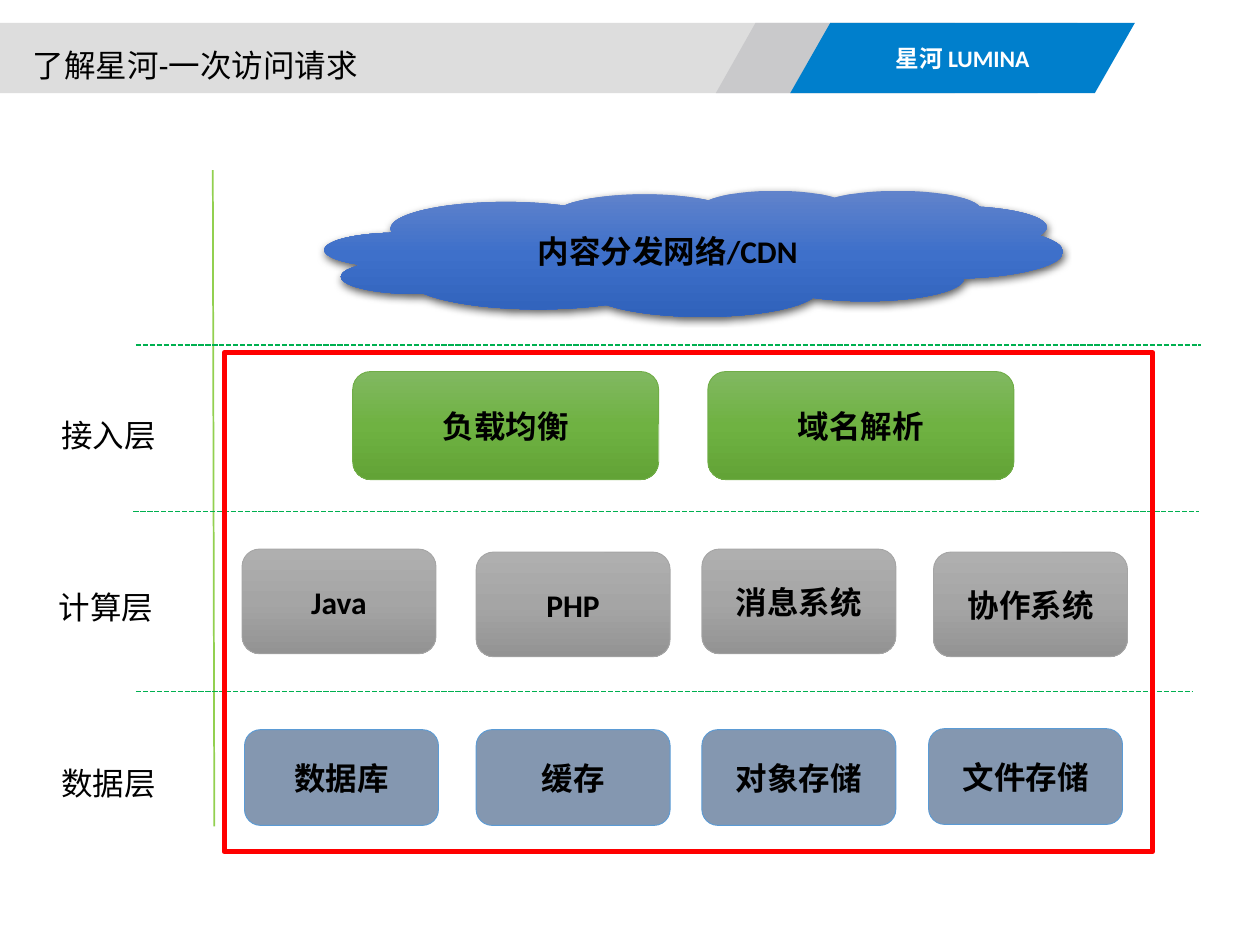
from copy import deepcopy
from lxml.etree import SubElement as Sub
from pptx import Presentation
from pptx.dml.color import RGBColor
from pptx.enum.dml import MSO_LINE as Dash
from pptx.enum.shapes import MSO_CONNECTOR as Conn, MSO_SHAPE as Kind
from pptx.enum.text import MSO_ANCHOR as Anchor, MSO_AUTO_SIZE as Fit, PP_ALIGN as Align
from pptx.oxml.ns import qn
from pptx.util import Cm, Pt


def tint(code):
    return RGBColor.from_string(code)


class Deck:
    """Holds the text style and the current slide, and draws each kind of element."""

    font = "Calibri"
    size = 18
    ink = "000000"

    def __init__(self, wide, high):
        self.prs = Presentation()
        self.prs.slide_width, self.prs.slide_height = Cm(wide), Cm(high)
        self.slide = self.prs.slides.add_slide(self.prs.slide_layouts[5])
        self.shapes = self.slide.shapes

    def fill_text(self, shape, runs, bold=False, mid=True, size=None, ink=None):
        frame = shape.text_frame
        frame.word_wrap = True
        frame.auto_size = Fit.NONE
        frame.vertical_anchor = Anchor.MIDDLE if mid else Anchor.TOP
        para = frame.paragraphs[0]
        para.alignment = Align.CENTER if mid else Align.LEFT
        for text in runs:
            run = para.add_run()
            run.text = text
            run.font.name = self.font
            run.font.size = Pt(size or self.size)
            run.font.bold = bold
            run.font.color.rgb = tint(ink or self.ink)

    def paint(self, shape, fill=None, edge=None, width=0.5):
        shape.shadow.inherit = False
        if fill is None:
            shape.fill.background()
        elif isinstance(fill, str):
            shape.fill.solid()
            shape.fill.fore_color.rgb = tint(fill)
        else:
            self.fade(shape, fill)
        if edge:
            shape.line.color.rgb = tint(edge)
            shape.line.width = Pt(width)
        else:
            shape.line.fill.background()

    def fade(self, shape, hues):
        shape.fill.gradient()
        shape.fill.gradient_angle = 270
        stops = next(shape.element.iter(qn("a:gsLst")))
        stops.insert(1, deepcopy(stops[0]))
        for stop, hue, place in zip(shape.fill.gradient_stops, hues, (0, 0.5, 1)):
            stop.color.rgb = tint(hue)
            stop.position = place

    def shade(self, shape, blur, drop, alpha):
        effects = shape.element.spPr.find(qn("a:effectLst"))
        outer = Sub(effects, qn("a:outerShdw"), blurRad=str(Pt(blur)), dist=str(Pt(drop)),
                    dir="5400000", algn="ctr", rotWithShape="0")
        hue = Sub(outer, qn("a:srgbClr"), val="000000")
        Sub(hue, qn("a:alpha"), val=str(alpha * 1000))

    def block(self, kind, box, fill=None, edge=None, width=0.5, runs=()):
        shape = self.shapes.add_shape(kind, *map(Cm, box))
        self.paint(shape, fill, edge, width)
        self.fill_text(shape, runs, bold=True)
        return shape

    def patch(self, points, fill, runs, size, ink):
        first, *rest = [(Cm(x), Cm(y)) for x, y in points]
        pen = self.shapes.build_freeform(*first)
        pen.add_line_segments(rest, close=True)
        shape = pen.convert_to_shape()
        self.paint(shape, fill)
        self.fill_text(shape, runs, bold=True, size=size, ink=ink)

    def line(self, ends, hue, dash=None):
        link = self.shapes.add_connector(Conn.STRAIGHT, *map(Cm, ends))
        link.line.color.rgb = tint(hue)
        link.line.width = Pt(1)
        if dash:
            link.line.dash_style = dash
        Sub(link.element.spPr, qn("a:effectLst"))

    def label(self, box, runs):
        self.fill_text(self.shapes.add_textbox(*map(Cm, box)), runs, mid=False)

    def title(self, box, runs):
        head = self.shapes.title
        head.left, head.top, head.width, head.height = map(Cm, box)
        self.fill_text(head, runs, mid=False)
        head.element.getparent().append(head.element)

    def row(self, cells, size, fill, edge):
        for left, top, text in cells:
            self.block(Kind.ROUNDED_RECTANGLE, (left, top, *size), fill, edge, runs=[text])


def main():
    deck = Deck(25.4, 19.05)

    deck.block(Kind.RECTANGLE, (0, 0.46, 19.25, 1.42), "DDDDDD")
    slant = deck.block(Kind.PARALLELOGRAM, (14.43, 0.46, 7.29, 1.42), "C9C9CB")
    slant.adjustments[0] = 0.565
    deck.patch([(16.74, 0.46), (22.88, 0.46), (22.07, 1.88), (15.93, 1.88)],
               "007FCC", ["星河", " LUMINA"], 13.5, "FFFFFF")

    deck.line((4.29, 3.43, 4.32, 16.66), "92D050")
    for left, right, top in [(2.74, 24.21, 6.96), (2.69, 24.18, 10.31), (2.74, 24.03, 13.94)]:
        deck.line((left, top, right, top), "00B050", Dash.SQUARE_DOT)

    cloud = deck.block(Kind.CLOUD, (6.55, 3.84, 14.88, 2.54),
                       ("6183CB", "3E70CA", "3062BB"), runs=["内容分发网络", "/CDN"])
    deck.shade(cloud, 4.5, 1.5, 63)

    deck.row([(7.11, 7.49, "负载均衡"), (14.27, 7.49, "域名解析")],
             (6.17, 2.18), ("81B861", "6FB242", "62A336"), "70AD47")
    deck.row([(4.88, 11.07, "Java"), (9.6, 11.13, "PHP"),
              (14.15, 11.07, "消息系统"), (18.82, 11.13, "协作系统")],
             (3.91, 2.11), ("AFAFAF", "A5A5A5", "939393"), "A5A5A5")
    deck.row([(4.93, 14.71, "数据库"), (9.6, 14.71, "缓存"),
              (14.15, 14.71, "对象存储"), (18.72, 14.69, "文件存储")],
             (3.91, 1.93), "8497B0", "5B9BD5")

    for left, top, text in [(0.99, 8.26, "接入层"), (0.94, 11.73, "计算层"), (0.99, 15.27, "数据层")]:
        deck.label((left, top, 2.79, 1.02), [text])

    deck.title((0.41, 0.81, 7.37, 1.02), ["了解星河", "-", "一次访问请求"])
    deck.block(Kind.RECTANGLE, (4.52, 7.11, 18.72, 10.06), edge="FF0000", width=3)

    deck.prs.save("out.pptx")


if __name__ == "__main__":
    main()
